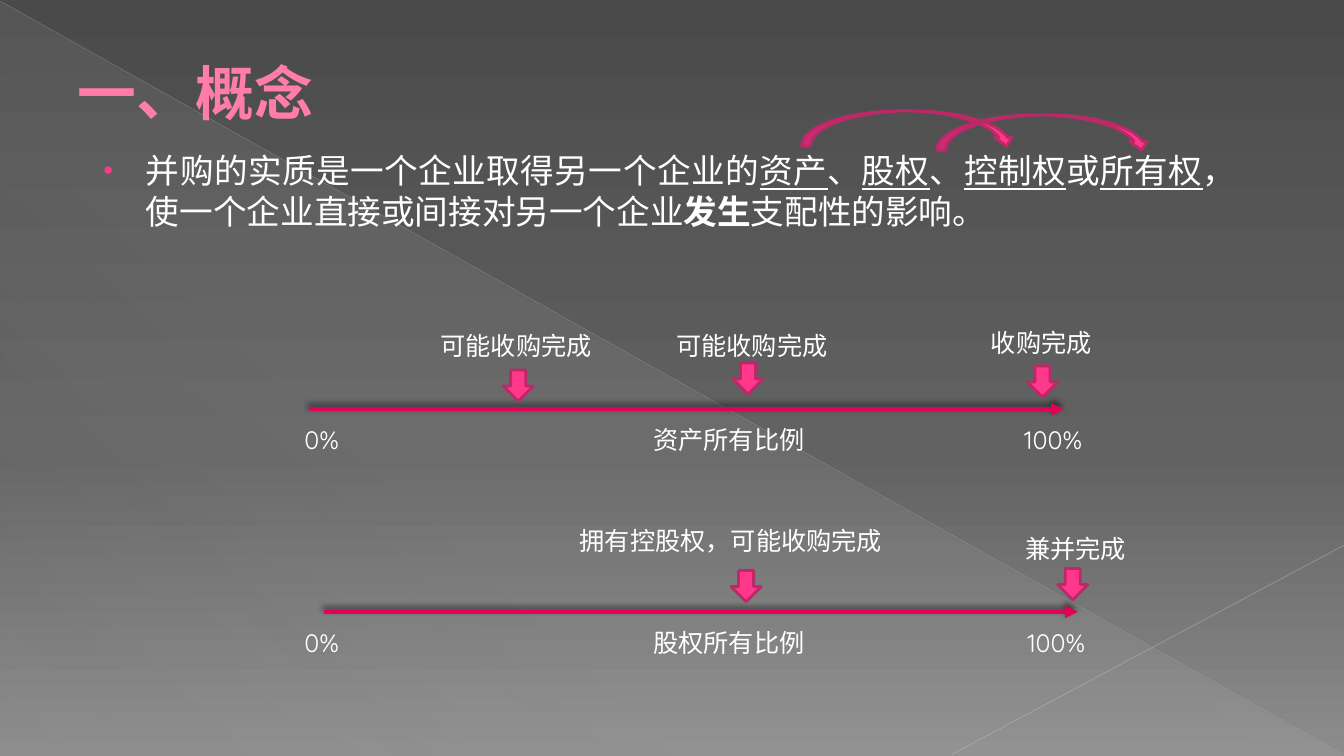
from lxml import etree
from pptx import Presentation, util as u
from pptx.dml.color import RGBColor
from pptx.enum import shapes, text
from pptx.oxml import ns

WIDTH, HEIGHT = 13.33, 7.5
SANS, ROUND = "Noto Sans CJK SC", "Quicksand"
COLORS = {
    "white": "FFFFFF", "title": "FF7DA7", "title_edge": "B12761",
    "pink": "FF388C", "pink_edge": "BD2968", "axis": "E40059",
    "haze": "D2D2D2", "diagonal": "BFBFBF", "corner": "C6C6C6", "shadow": "000000",
}
BACKDROP = [(0, "4A4A4A", 100), (60, "626262", 100), (100, "8C8C8C", 100)]
HAZE = [(0, COLORS["haze"], 10), (70, COLORS["haze"], 8), (100, COLORS["haze"], 1)]
RAYS = [
    ((0, 0.01), (WIDTH, 7.49), "diagonal", 0.39, 35),
    ((WIDTH, 5.41), (9.43, 7.49), "corner", 0.47, 45),
]

TITLE = "一、概念"
STATEMENT = [
    ("并购的实质是一个企业取得另一个企业的", ""), ("资产", "u"), ("、", ""),
    ("股权", "u"), ("、", ""), ("控制权", "u"), ("或", ""), ("所有权", "u"),
    ("，使一个企业直接或间接对另一个企业", ""), ("发生", "b"), ("支配性的影响。", ""),
]
ARCS = [(7.95, 1.1), (9.29, 1.14)]
SCALES = [
    {"start": 3.06, "end": 10.55, "row": 4.06,
     "ticks": [("0%", 2.92, 0.59), ("资产所有比例", 6.38, 1.82), ("100%", 10.06, 0.92)],
     "stages": [("可能收购完成", 4.27, 3.23, 1.82), ("可能收购完成", 6.61, 3.23, 1.82),
                ("收购完成", 9.73, 3.2, 1.82)],
     "pointers": [(4.99, 3.67), (7.27, 3.6), (10.19, 3.63)]},
    {"start": 3.21, "end": 10.69, "row": 6.07,
     "ticks": [("0%", 2.92, 0.59), ("股权所有比例", 6.38, 1.82), ("100%", 10.09, 0.92)],
     "stages": [("拥有控股权，可能收购完成", 5.65, 5.16, 3.28), ("兼并完成", 10.07, 5.24, 1.55)],
     "pointers": [(7.25, 5.66), (10.49, 5.64)]},
]
TICK_GAP, LABEL_HEIGHT = 0.1, 0.4
POINTER_SIZE, ARC_SIZE = (0.3, 0.31), (2.12, 0.35)


def rgb(name):
    return RGBColor.from_string(COLORS[name])


def inches(*lengths):
    return [u.Inches(length) for length in lengths]


def add(parent, tag, **attributes):
    values = {key: str(value) for key, value in attributes.items()}
    return etree.SubElement(parent, ns.qn(tag), values)


def add_color(parent, value, alpha):
    add(add(parent, "a:srgbClr", val=value), "a:alpha", val=alpha * 1000)


def set_gradient(fill, element, stops, angle):
    fill.gradient()
    gradient = element.find(".//" + ns.qn("a:gradFill"))
    for child in list(gradient):
        gradient.remove(child)
    stop_list = add(gradient, "a:gsLst")
    for position, value, alpha in stops:
        add_color(add(stop_list, "a:gs", pos=position * 1000), value, alpha)
    add(gradient, "a:lin", ang=angle * 60000, scaled=0)


def add_line(slide, start, end, color, width):
    line = slide.shapes.add_connector(
        shapes.MSO_CONNECTOR.STRAIGHT, *inches(*start, *end))
    line.line.color.rgb = rgb(color)
    line.line.width = u.Pt(width)
    return line, add(line.element.spPr, "a:effectLst")


def add_arrow(slide, kind, at, size):
    arrow = slide.shapes.add_shape(kind, *inches(*at, *size))
    arrow.shadow.inherit = False
    arrow.fill.solid()
    arrow.fill.fore_color.rgb = rgb("pink")
    arrow.line.color.rgb = rgb("pink_edge")
    arrow.line.width = u.Pt(2)


def add_span(para, words, size, font, color="white"):
    span = para.add_run()
    span.text = words
    span.font.size = u.Pt(size)
    span.font.name = font
    span.font.color.rgb = rgb(color)
    add(span.font._element, "a:ea", typeface=SANS)
    return span


def add_label(slide, words, left, top, width):
    box = slide.shapes.add_textbox(*inches(left, top, width, LABEL_HEIGHT))
    box.text_frame.word_wrap = True
    add_span(box.text_frame.paragraphs[0], words, 18, ROUND)


def draw_backdrop(slide):
    set_gradient(slide.background.fill, slide.element, BACKDROP, 90)
    haze = slide.shapes.add_shape(
        shapes.MSO_SHAPE.RIGHT_TRIANGLE, *inches(0.01, 0.02, 13.31, 7.48))
    haze.shadow.inherit = False
    haze.line.fill.background()
    set_gradient(haze.fill, haze.element, HAZE, 133)
    for start, end, color, width, alpha in RAYS:
        ray, _ = add_line(slide, start, end, color, width)
        tint = ray.element.find(".//" + ns.qn("a:srgbClr"))
        add(tint, "a:alpha", val=alpha * 1000)


def write_title(slide):
    title = slide.shapes.title
    slide.shapes.element.append(title.element)
    title.left, title.top, title.width, title.height = inches(0.14, 0.15, 12, 1.53)
    title.text_frame.vertical_anchor = text.MSO_ANCHOR.MIDDLE
    para = title.text_frame.paragraphs[0]
    para.alignment = text.PP_ALIGN.LEFT
    para._p.get_or_add_pPr().set("marL", str(u.Inches(0.53)))
    span = add_span(para, TITLE, 42, ROUND, "title")
    span.font.bold = True
    edge = etree.Element(ns.qn("a:ln"), {"w": str(u.Pt(0.5))})
    add_color(add(edge, "a:solidFill"), COLORS["title_edge"], 100)
    span.font._element.insert(0, edge)


def write_statement(slide):
    box = slide.shapes.add_textbox(*inches(0.86, 1.44, 11.5, 1))
    box.text_frame.word_wrap = True
    para = box.text_frame.paragraphs[0]
    para.alignment = text.PP_ALIGN.JUSTIFY
    layout = para._p.get_or_add_pPr()
    layout.set("marL", str(u.Inches(0.49)))
    layout.set("indent", str(u.Inches(-0.42)))
    add(add(layout, "a:spcBef"), "a:spcPct", val=20000)
    add_color(add(layout, "a:buClr"), COLORS["pink"], 100)
    add(layout, "a:buSzPct", val=80000)
    add(layout, "a:buFont", typeface="Arial")
    add(layout, "a:buChar", char="•")
    for words, style in STATEMENT:
        span = add_span(para, words, 24, SANS)
        span.font.underline = style == "u"
        span.font.bold = style == "b"


def draw_scale(slide, scale):
    row = scale["row"]
    axis, effects = add_line(slide, (scale["start"], row), (scale["end"], row), "axis", 3)
    add(axis.line._get_or_add_ln(), "a:tailEnd", type="triangle")
    shadow = add(effects, "a:outerShdw", blurRad=u.Pt(4), dist=u.Pt(3),
                 dir=245 * 60000, rotWithShape=0)
    add_color(shadow, COLORS["shadow"], 60)
    for words, left, width in scale["ticks"]:
        add_label(slide, words, left, row + TICK_GAP, width)
    for stage in scale["stages"]:
        add_label(slide, *stage)
    for at in scale["pointers"]:
        add_arrow(slide, shapes.MSO_SHAPE.DOWN_ARROW, at, POINTER_SIZE)


def main():
    deck = Presentation()
    deck.slide_width, deck.slide_height = inches(WIDTH, HEIGHT)
    slide = deck.slides.add_slide(deck.slide_layouts.get_by_name("Title Only"))
    draw_backdrop(slide)
    write_statement(slide)
    write_title(slide)
    for at in ARCS:
        add_arrow(slide, shapes.MSO_SHAPE.CURVED_DOWN_ARROW, at, ARC_SIZE)
    for scale in SCALES:
        draw_scale(slide, scale)
    deck.save("out.pptx")


if __name__ == "__main__":
    main()
